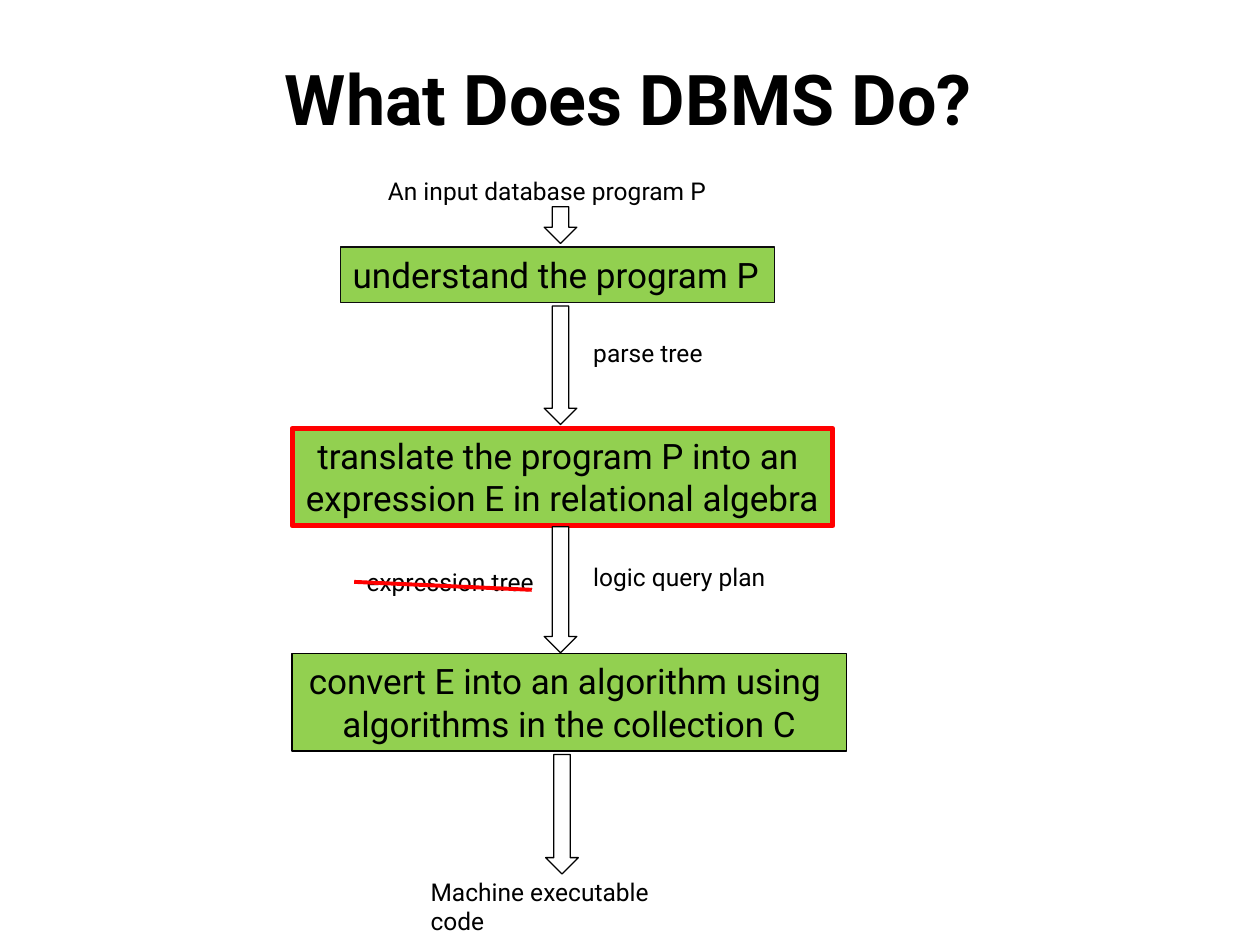
from lxml.etree import SubElement
from pptx import Presentation
from pptx.dml.color import RGBColor
from pptx.enum.shapes import MSO_CONNECTOR, MSO_SHAPE
from pptx.enum.text import MSO_ANCHOR, PP_ALIGN
from pptx.oxml.ns import qn
from pptx.util import Cm, Pt

FONT = "Roboto"
BLACK, WHITE, RED, GREEN = "000000", "FFFFFF", "FF0000", "92D050"
LABEL_H = 0.86
ARROW_W = 0.66

# Offsets in cm from the top left corner of the flow: left, top, width, height
STEPS = [
    (0.97, 1.55, 8.76, 1.12, ["understand the program P"], "0D0D0D", 0.75),
    (0, 5.21, 10.9, 1.96,
     ["translate the program P into an ", "expression E in relational algebra"], RED, 3),
    (0, 9.75, 11.18, 1.96,
     ["convert E into an algorithm using ", "algorithms in the collection C"], BLACK, 0.75),
]
# left, top, height
ARROWS = [(5.08, 0.74, 0.74), (5.08, 2.74, 2.39), (5.08, 7.19, 2.54), (5.11, 11.78, 2.41)]
# left, top, width, text, wrap
LABELS = [
    (1.68, 0, 6.93, "An input database program P", False),
    (2.54, 14.12, 5.8, "Machine executable code", True),
    (5.82, 3.25, 2.74, "parse tree", False),
    (1.25, 7.87, 3.89, "expression tree", False),
    (5.82, 7.77, 4.14, "logic query plan", False),
]


def rgb(value):
    return RGBColor.from_string(value)


def write(s, lines, size, align=PP_ALIGN.LEFT, bold=False, wrap=False):
    tf = s.text_frame
    tf.word_wrap = wrap
    for i, line in enumerate(lines):
        p = tf.add_paragraph() if i else tf.paragraphs[0]
        p.text = line
        p.alignment = align
        p.font.name = FONT
        p.font.size = Pt(size)
        p.font.bold = bold
        p.font.color.rgb = rgb(BLACK)


def add_text(slide, left, top, width, height, text, size, **style):
    s = slide.shapes.add_textbox(Cm(left), Cm(top), Cm(width), Cm(height))
    write(s, [text], size, **style)


def add_block(slide, kind, left, top, width, height, fill, line, weight):
    s = slide.shapes.add_shape(kind, Cm(left), Cm(top), Cm(width), Cm(height))
    s.shadow.inherit = False
    s.fill.solid()
    s.fill.fore_color.rgb = rgb(fill)
    s.line.color.rgb = rgb(line)
    s.line.width = Pt(weight)
    return s


def add_strike(slide, x1, y1, x2, y2):
    c = slide.shapes.add_connector(MSO_CONNECTOR.STRAIGHT, Cm(x1), Cm(y1), Cm(x2), Cm(y2))
    c.line.color.rgb = rgb(RED)
    c.line.width = Pt(2.25)
    SubElement(c._element.spPr, qn("a:effectLst"))


def add_flow(slide, left, top):
    for x, y, w, h, lines, line, weight in STEPS:
        s = add_block(slide, MSO_SHAPE.RECTANGLE, left + x, top + y, w, h, GREEN, line, weight)
        s.text_frame.vertical_anchor = MSO_ANCHOR.TOP
        write(s, lines, 20, PP_ALIGN.CENTER if len(lines) > 1 else PP_ALIGN.LEFT)
    for x, y, h in ARROWS:
        add_block(slide, MSO_SHAPE.DOWN_ARROW, left + x, top + y, ARROW_W, h,
                  WHITE, BLACK, 0.75)
    for x, y, w, text, wrap in LABELS:
        add_text(slide, left + x, top + y, w, LABEL_H, text, 14, wrap=wrap)
    add_strike(slide, left + 1.25, top + 8.3, left + 4.83, top + 8.46)


def main():
    prs = Presentation()
    prs.slide_width, prs.slide_height = Cm(25.4), Cm(19.05)
    slide = prs.slides.add_slide(prs.slide_layouts[6])
    add_text(slide, 4.6, 0.99, 16.13, 1.96, "What Does DBMS Do?", 40,
             align=PP_ALIGN.CENTER, bold=True)
    add_flow(slide, 5.89, 3.43)
    prs.save("out.pptx")


if __name__ == "__main__":
    main()
